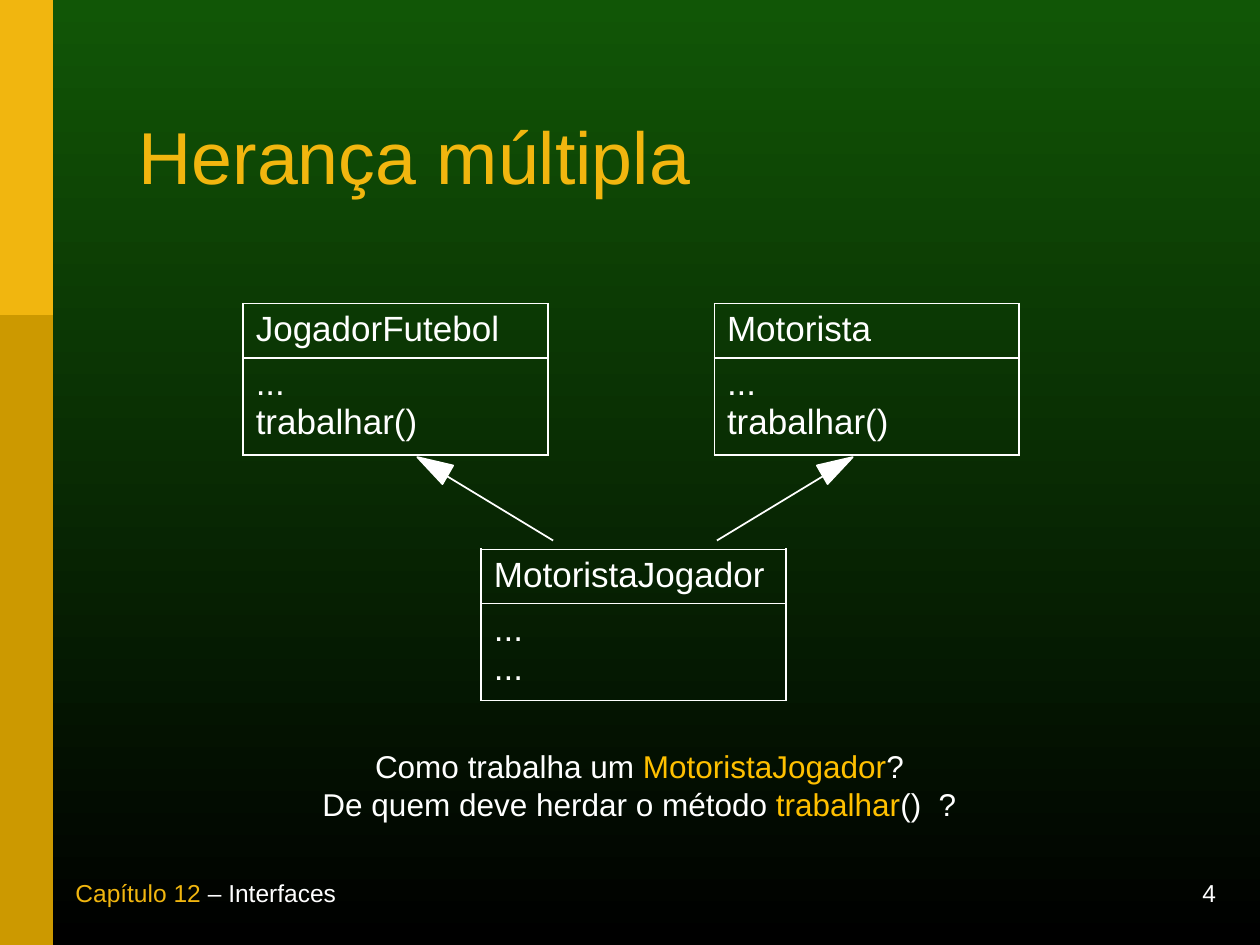
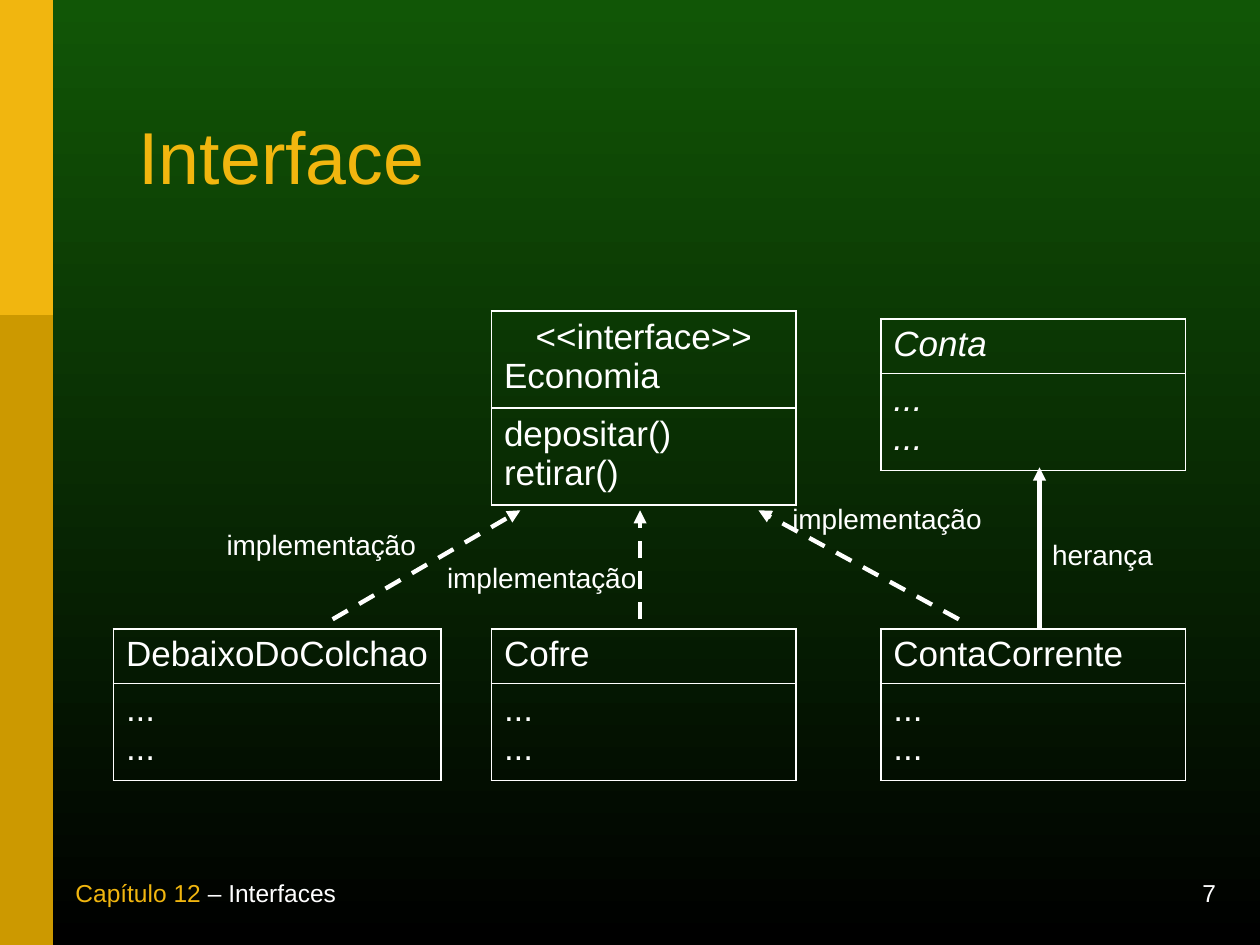
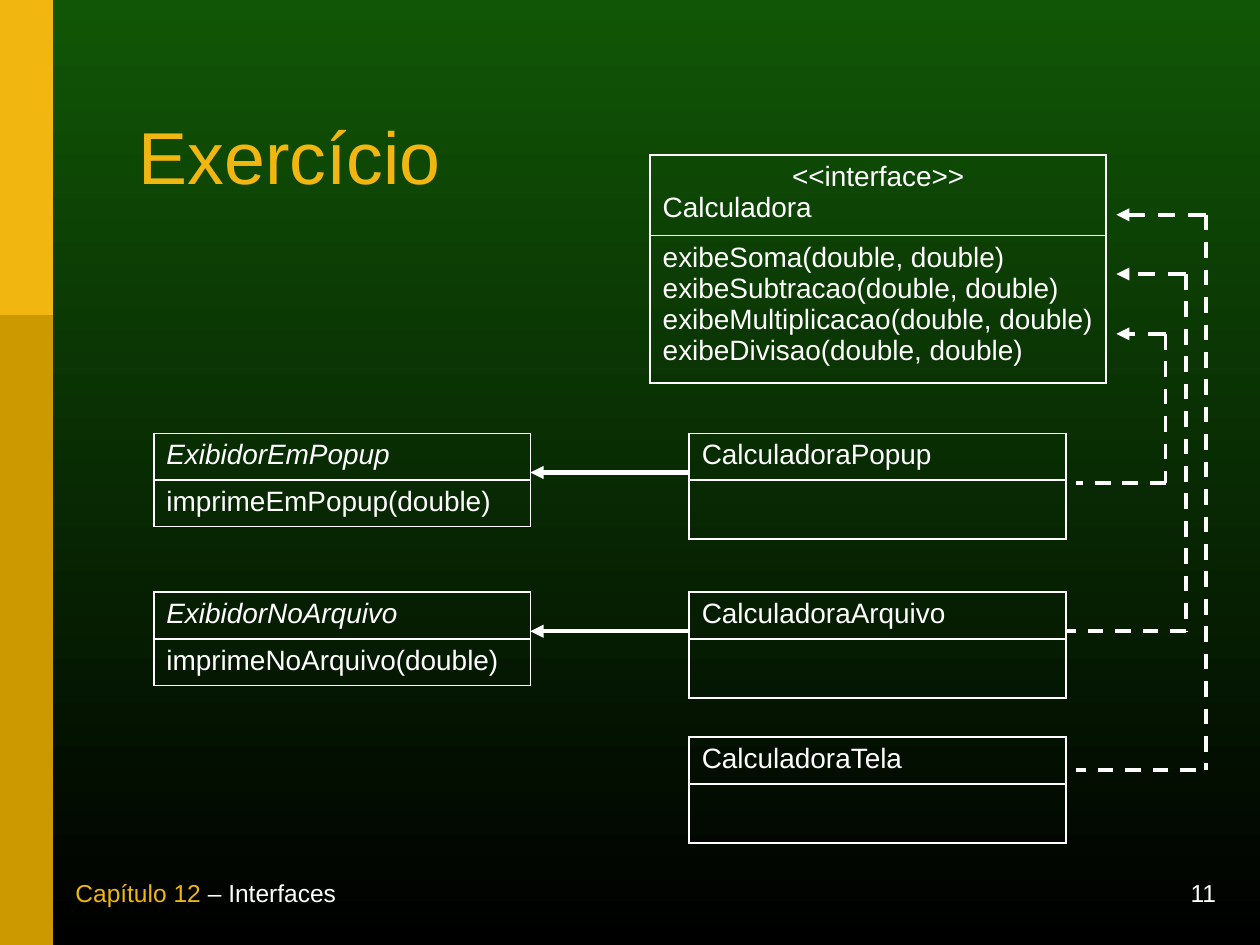
from dataclasses import dataclass

from lxml.etree import SubElement
from pptx import Presentation
from pptx.dml.color import RGBColor
from pptx.enum.dml import MSO_LINE
from pptx.enum.shapes import MSO_CONNECTOR, MSO_SHAPE
from pptx.enum.text import MSO_ANCHOR, MSO_AUTO_SIZE, PP_ALIGN
from pptx.oxml.ns import qn
from pptx.util import Emu, Inches, Pt

SLIDE_WIDTH, SLIDE_HEIGHT = Inches(10), Inches(7.5)
COLUMNS, ROWS = 100, 75
FONT = "Arial"
COLORS = {
    "top": "115606",
    "bottom": "000000",
    "band": "CC9900",
    "accent": "F1B60F",
    "highlight": "FFC000",
    "white": "FFFFFF",
}


@dataclass
class Box:
    left: float
    top: float
    width: float
    height: float

    def point(self, across, down):
        return self.left + self.width * across, self.top + self.height * down

    def place(self):
        return (across(self.left), down(self.top), across(self.width), down(self.height))


def across(columns):
    return Emu(round(SLIDE_WIDTH * columns / COLUMNS))


def down(rows):
    return Emu(round(SLIDE_HEIGHT * rows / ROWS))


def color(name):
    return RGBColor.from_string(COLORS[name])


def add_run(paragraph, text, size, color_name="white", italic=False):
    run = paragraph.add_run()
    run.text = text
    run.font.name = FONT
    run.font.size = Pt(size)
    run.font.italic = italic
    run.font.color.rgb = color(color_name)


def add_text(slide, box, lines, size, align=PP_ALIGN.CENTER,
             anchor=MSO_ANCHOR.TOP, fit=MSO_AUTO_SIZE.SHAPE_TO_FIT_TEXT):
    shape = slide.shapes.add_textbox(*box.place())
    frame = shape.text_frame
    frame.word_wrap = False
    frame.auto_size = fit
    frame.vertical_anchor = anchor
    for index, line in enumerate(lines):
        paragraph = frame.add_paragraph() if index else frame.paragraphs[0]
        paragraph.alignment = align
        for text, color_name in line:
            add_run(paragraph, text, size, color_name)
    return shape


def add_footer_text(slide, box, runs, align):
    return add_text(slide, box, [runs], 14, align, MSO_ANCHOR.BOTTOM, MSO_AUTO_SIZE.NONE)


def add_filled(shapes, kind, box, color_name):
    shape = shapes.add_shape(kind, *box.place())
    shape.shadow.inherit = False
    shape.fill.solid()
    shape.fill.fore_color.rgb = color(color_name)
    shape.line.fill.background()
    return shape


def add_line(shapes, start, end, width=2.5, dashed=False, arrow=False):
    connector = shapes.add_connector(
        MSO_CONNECTOR.STRAIGHT,
        across(start[0]), down(start[1]), across(end[0]), down(end[1]),
    )
    line = connector.line
    line.color.rgb = color("white")
    line.width = Pt(width)
    if dashed:
        line.dash_style = MSO_LINE.DASH
    properties = connector.element.spPr
    if arrow:
        SubElement(properties.find(qn("a:ln")), qn("a:tailEnd"), type="triangle")
    SubElement(properties, qn("a:effectLst"))


def set_borders(cell):
    properties = cell._tc.get_or_add_tcPr()
    for side in ("L", "R", "T", "B"):
        line = SubElement(properties, qn(f"a:ln{side}"), w=str(Pt(1.08)))
        fill = SubElement(line, qn("a:solidFill"))
        SubElement(fill, qn("a:srgbClr"), val=COLORS["white"])


def fill_cell(cell, lines, size, italic):
    set_borders(cell)
    cell.fill.background()
    for index, line in enumerate(lines):
        frame = cell.text_frame
        paragraph = frame.add_paragraph() if index else frame.paragraphs[0]
        if line.startswith("<<"):
            paragraph.alignment = PP_ALIGN.CENTER
        for part_index, part in enumerate(line.split("\n")):
            if part_index:
                paragraph.add_line_break()
            add_run(paragraph, part, size, italic=italic)


def add_class(slide, left, top, width, heights, names, members, size=20, italics=(False, False)):
    box = Box(left, top, width, sum(heights))
    table = slide.shapes.add_table(2, 1, *box.place()).table
    table.first_row = False
    table.horz_banding = False
    for row, height, lines, italic in zip(table.rows, heights, (names, members), italics):
        row.height = down(height)
        fill_cell(row.cells[0], lines, size, italic)


def add_inheritance_arrow(slide, box, mirrored):
    def spot(share, depth):
        return box.point(1 - share if mirrored else share, depth)

    group = slide.shapes.add_group_shape()
    center_x, center_y = spot(0.08, 0.2)
    head = Box(center_x - 0.85, center_y - 1.4, 1.7, 2.8)
    triangle = add_filled(group.shapes, MSO_SHAPE.ISOSCELES_TRIANGLE, head, "white")
    triangle.line.color.rgb = color("white")
    triangle.line.width = Pt(1)
    triangle.rotation = 60 if mirrored else 300
    add_line(group.shapes, spot(0.19, 0.31), spot(1, 1), width=1)


def style_master(presentation):
    fill = presentation.slide_master.background.fill
    fill.gradient()
    fill.gradient_angle = 270
    for stop, position, name in zip(fill.gradient_stops, (0, 1), ("top", "bottom")):
        stop.position = position
        stop.color.rgb = color(name)


def move_shared_parts(slide):
    parts = [
        add_filled(slide.shapes, MSO_SHAPE.RECTANGLE, Box(0, 0, 4.2, ROWS), "band"),
        add_filled(slide.shapes, MSO_SHAPE.RECTANGLE, Box(0, 0, 4.2, ROWS / 3), "accent"),
        add_footer_text(slide, Box(5, 70, 44.2, 2.5),
                        [("Capítulo 12", "accent"), (" – Interfaces", "white")], PP_ALIGN.LEFT),
    ]
    for part in parts:
        slide.slide_layout.shapes.element.append(part.element)


def add_titled_slide(presentation, title_text, number):
    slide = presentation.slides.add_slide(presentation.slide_layouts[5])
    title = slide.shapes.title
    title.left, title.top, title.width, title.height = Box(10, 6.4, 82.4, 12.9).place()
    frame = title.text_frame
    frame.auto_size = MSO_AUTO_SIZE.NONE
    frame.word_wrap = True
    frame.vertical_anchor = MSO_ANCHOR.MIDDLE
    paragraph = frame.paragraphs[0]
    paragraph.alignment = PP_ALIGN.LEFT
    paragraph.line_spacing = 0.85
    add_run(paragraph, title_text, 42, "accent")
    add_footer_text(slide, Box(72.5, 70, 25, 2.5), [(str(number), "white")], PP_ALIGN.RIGHT)
    return slide


def build_multiple_inheritance(slide):
    heights = (4.3, 7.7)
    for left, top, name, members in (
        (56.7, 24.1, "Motorista", "...\ntrabalhar()"),
        (19.3, 24.1, "JogadorFutebol", "...\ntrabalhar()"),
        (38.2, 43.6, "MotoristaJogador", "...\n..."),
    ):
        add_class(slide, left, top, 24.2, heights, [name], [members])
    for left, mirrored in ((33.5, False), (56.9, True)):
        add_inheritance_arrow(slide, Box(left, 35.5, 10.4, 7.4), mirrored)
    add_text(slide, Box(24.6, 58.8, 52.3, 7), [
        [("Como trabalha um ", "white"), ("MotoristaJogador", "highlight"), ("?", "white")],
        [("De quem deve herdar o método ", "white"), ("trabalhar", "highlight"),
         ("()  ?", "white")],
    ], 18)


def build_interface(slide):
    heights = (4.35, 7.7)
    add_class(slide, 69.9, 25.3, 24.2, heights, ["Conta"], ["...\n..."], italics=(True, True))
    add_class(slide, 39, 24.7, 24.2, (7.7, 7.7),
              ["<<interface>>", "Economia"], ["depositar()", "retirar()"])
    for left, width, name in (
        (69.9, 24.2, "ContaCorrente"),
        (39, 24.2, "Cofre"),
        (9, 26, "DebaixoDoColchao"),
    ):
        add_class(slide, left, 49.9, width, heights, [name], ["...\n..."])
    add_line(slide.shapes, (82.5, 49.9), (82.5, 37.1), arrow=True)
    for start, end in ((76.1, 60.2), (50.8, 50.8), (26.4, 41.3)):
        add_line(slide.shapes, (start, 49.15), (end, 40.5), dashed=True, arrow=True)
    for left, top, width, label in (
        (17, 41.4, 17, "implementação"),
        (34.5, 44, 17, "implementação"),
        (61.9, 39.3, 17, "implementação"),
        (82.5, 42.2, 10, "herança"),
    ):
        add_text(slide, Box(left, top, width, 3.7), [[(label, "white")]], 16)


def build_exercise(slide):
    add_class(slide, 51.6, 12.3, 36.2, (6.4, 11.7), ["<<interface>>", "Calculadora"], [
        "exibeSoma(double, double)",
        "exibeSubtracao(double, double)",
        "exibeMultiplicacao(double, double)",
        "exibeDivisao(double, double)",
    ], 16)
    for top, target in ((34.4, "EmPopup"), (47, "NoArquivo")):
        add_class(slide, 12.2, top, 29.9, (3.7, 3.7), [f"Exibidor{target}"],
                  [f"imprime{target}(double)"], 16, (True, False))
        add_line(slide.shapes, (54.7, top + 3.1), (42.1, top + 3.1), arrow=True)
    for top, target in ((34.4, "Popup"), (47, "Arquivo"), (58.5, "Tela")):
        add_class(slide, 54.7, top, 29.9, (3.7, 4.7), [f"Calculadora{target}"], [], 16)
    for lane, arrow_row, base_row, start, end in (
        (92.5, 26.5, 38.3, 92.5, 85.4),
        (94.1, 21.75, 50.1, 94.1, 84.6),
        (95.7, 17.05, 61.1, 94.9, 85.4),
    ):
        add_line(slide.shapes, (lane, arrow_row), (88.6, arrow_row), dashed=True, arrow=True)
        add_line(slide.shapes, (lane, arrow_row), (lane, base_row), 2.25, dashed=True)
        add_line(slide.shapes, (start, base_row), (end, base_row), 2.25, dashed=True)


def main():
    presentation = Presentation()
    presentation.slide_width, presentation.slide_height = SLIDE_WIDTH, SLIDE_HEIGHT
    style_master(presentation)
    for index, (title, number, build) in enumerate((
        ("Herança múltipla", 4, build_multiple_inheritance),
        ("Interface", 7, build_interface),
        ("Exercício", 11, build_exercise),
    )):
        slide = add_titled_slide(presentation, title, number)
        if index == 0:
            move_shared_parts(slide)
        build(slide)
    presentation.save("out.pptx")


if __name__ == "__main__":
    main()
